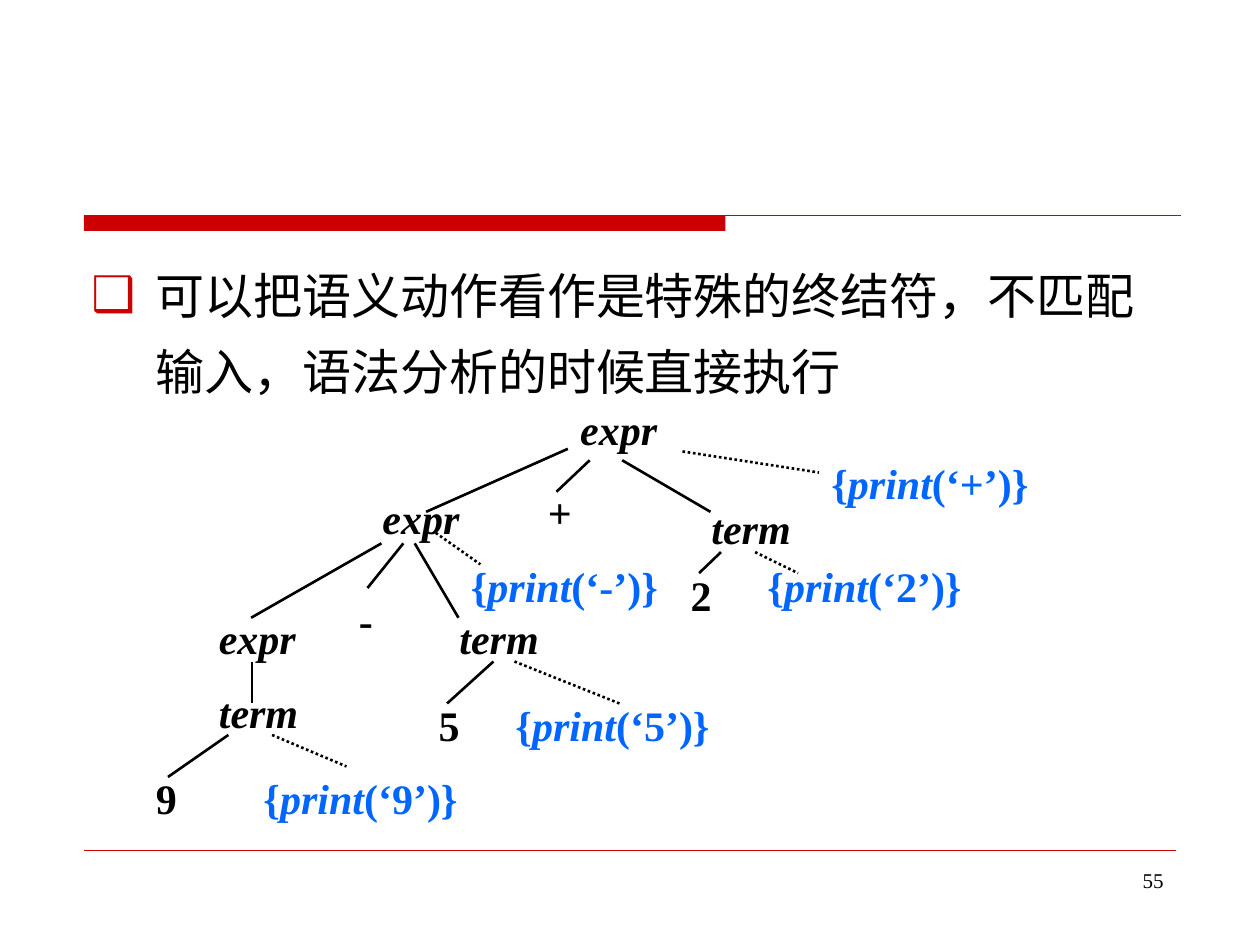
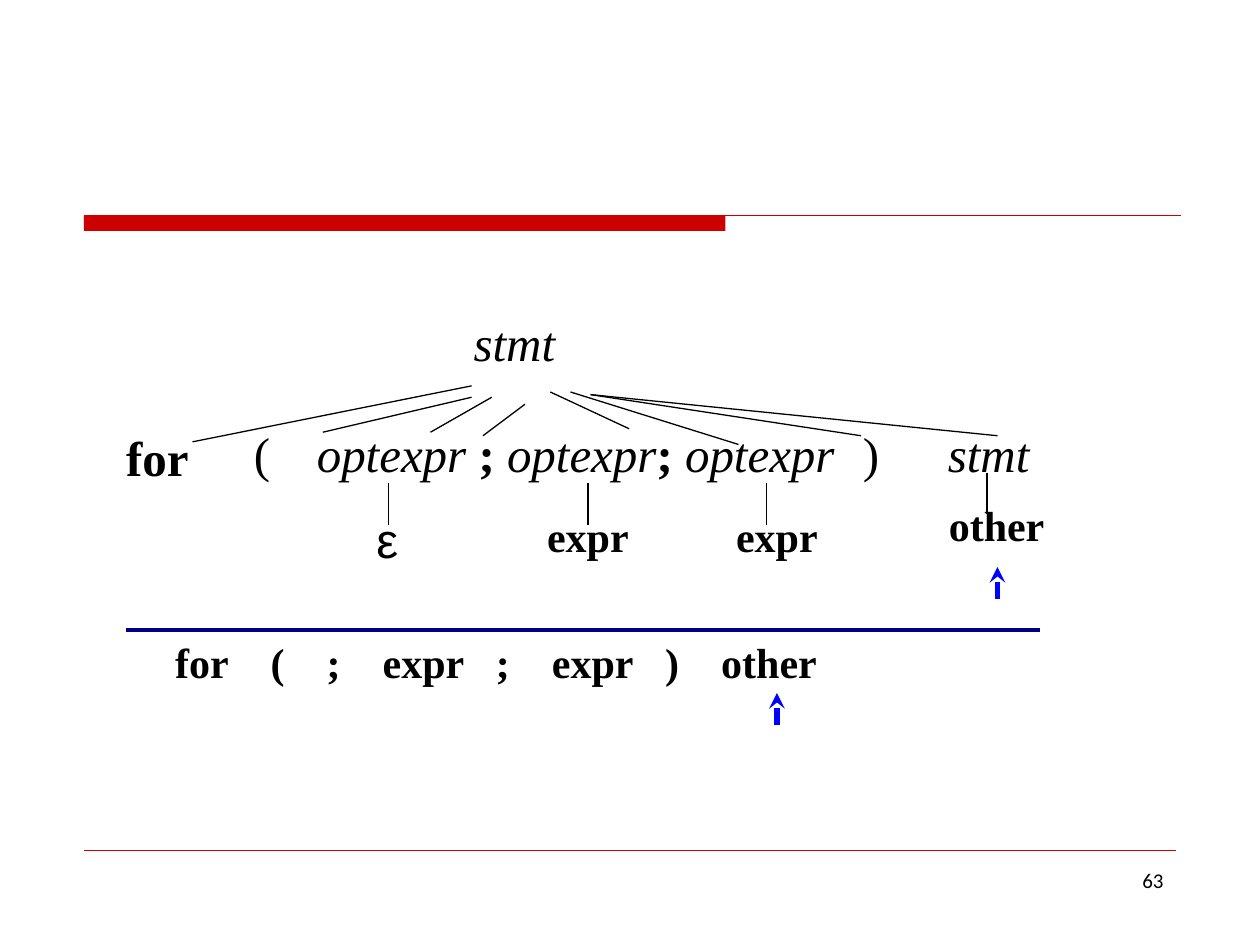
from lxml import etree
from pptx import Presentation
from pptx import util as u
from pptx.dml import color
from pptx.enum import dml, shapes, text
from pptx.oxml import ns

Pt = u.Pt
COLORS = {"red": "CC0000", "ink": "000000", "action": "0066FF",
          "pointer": "0000FF", "rule": "000080"}
SERIF = "Times New Roman"


def rgb(name):
    return color.RGBColor.from_string(COLORS[name])


def add_xml(parent, tag, **attrs):
    return etree.SubElement(parent, ns.qn(tag), attrs)


class Deck:
    """Holds the style and the current slide."""

    def __init__(self):
        self.prs = Presentation()
        self.prs.slide_width, self.prs.slide_height = Pt(720), Pt(540)
        self.s = None

    def slide(self, number, layout, number_font=SERIF):
        self.s = self.prs.slides.add_slide(self.prs.slide_layouts[layout])
        if self.s.shapes.title is not None:
            title = self.s.shapes.title.element
            title.getparent().remove(title)
        # Red band, thin rules and page number
        band = self.s.shapes.add_shape(shapes.MSO_SHAPE.RECTANGLE,
                                       Pt(48), Pt(123), Pt(366.5), Pt(9))
        band.shadow.inherit = False
        band.fill.solid()
        band.fill.fore_color.rgb = rgb("red")
        band.line.fill.background()
        self.line(48, 123, 675, 123, "red")
        self.line(48, 486, 672, 486, "red", 0.25)
        self.text(516, 492, 156, [(number, "")], 12, h=37,
                  font=number_font, align=text.PP_ALIGN.RIGHT)

    def line(self, x1, y1, x2, y2, ink="ink", width=0.75, dotted=False, arrow=False):
        c = self.s.shapes.add_connector(shapes.MSO_CONNECTOR.STRAIGHT,
                                        Pt(x1), Pt(y1), Pt(x2), Pt(y2))
        c.line.color.rgb = rgb(ink)
        c.line.width = Pt(width)
        if dotted:
            c.line.dash_style = dml.MSO_LINE.ROUND_DOT
        if arrow:
            add_xml(c.line._get_or_add_ln(), "a:tailEnd", type="stealth")
        add_xml(c.element.spPr, "a:effectLst")

    def text(self, x, y, w, runs, size, h=36, ink="ink", font=SERIF,
             align=text.PP_ALIGN.LEFT, wrap=True):
        """Each run is (words, style); the style may hold b and i."""
        sp = self.s.shapes.add_textbox(Pt(x), Pt(y), Pt(w), Pt(h))
        tf = sp.text_frame
        tf.word_wrap = wrap
        p = tf.paragraphs[0]
        p.alignment = align
        for words, style in runs:
            r = p.add_run()
            r.text = words
            r.font.name, r.font.size = font, Pt(size)
            r.font.bold, r.font.italic = "b" in style, "i" in style
            r.font.color.rgb = rgb(ink)
        return sp

    def label(self, x, y, w, words, size=24, h=36, style="b", font=SERIF):
        sp = self.text(x, y, w, [(words, style)], size, h, font=font,
                       align=text.PP_ALIGN.CENTER, wrap=False)
        sp.text_frame.vertical_anchor = text.MSO_ANCHOR.BOTTOM

    def action(self, x, y, symbol):
        self.text(x, y, 150, [("{", "b"), ("print", "bi"), (f"(‘{symbol}’)}}", "b")],
                  24, ink="action")

    def tabbed(self, x, y, w, words, stops):
        sp = self.text(x, y, w, [("\t".join(words), "b")], 24)
        tabs = add_xml(sp.text_frame.paragraphs[0]._p.get_or_add_pPr(), "a:tabLst")
        for stop in stops:
            add_xml(tabs, "a:tab", pos=str(int(Pt(stop))), algn="l")

    def bullet(self, words):
        sp = self.s.placeholders[1]
        sp.left, sp.top, sp.width, sp.height = Pt(45), Pt(138), Pt(630), Pt(336)
        tf = sp.text_frame
        tf.text = words
        tf.auto_size = text.MSO_AUTO_SIZE.NONE
        p = tf.paragraphs[0]
        p.line_spacing, p.space_before = 1.3, Pt(0)
        pPr = p._p.get_or_add_pPr()
        pPr.set("marL", str(int(Pt(36.75))))
        pPr.set("indent", str(int(Pt(-36.75))))
        add_xml(add_xml(pPr, "a:buClr"), "a:srgbClr", val=COLORS["red"])
        add_xml(pPr, "a:buChar", char="❑")
        r = p.runs[0]
        r.font.name, r.font.size = SERIF, Pt(28)
        r.font.color.rgb = rgb("ink")


def action_tree(deck):
    deck.slide("55", 1)
    deck.bullet("可以把语义动作看作是特殊的终结符，不匹配输入，语法分析的时候直接执行")

    # Nonterminals, terminals and semantic actions
    for name, x, y in [("expr", 324.5, 227), ("expr", 211.5, 278), ("expr", 118, 346.5),
                       ("term", 399.5, 283.5), ("term", 255.5, 346.5), ("term", 118, 389)]:
        deck.text(x, y, 81, [(name, "bi")], 24)
    for token, x, y in [("+", 306, 274.5), ("-", 198, 336), ("2", 387.5, 322),
                        ("5", 243.5, 396), ("9", 82, 438)]:
        deck.text(x, y, 37, [(token, "b")], 24)
    for symbol, x, y in [("+", 468, 258), ("-", 262, 317), ("2", 431.5, 317),
                         ("5", 287.5, 396), ("9", 143.5, 438)]:
        deck.action(x, y, symbol)

    # Solid branches to symbols, dotted branches to actions
    branches = [(324.5, 256.5, 243.5, 292.5), (337, 263, 318, 281),
                (355.5, 263, 406, 292.5), (218, 310.5, 143.5, 353),
                (230.5, 310.5, 210, 336), (237, 310.5, 262, 353),
                (412, 315.5, 399.5, 327.5), (282, 378, 255.5, 402),
                (144, 378, 144, 402), (130.5, 420, 96, 444)]
    action_branches = [(390, 258, 468, 270), (249, 304.5, 274.5, 322.5),
                       (431.5, 315.5, 456, 327.5), (294, 378, 354, 402),
                       (155.5, 420, 198, 438)]
    for ends in branches:
        deck.line(*ends, width=1.5)
    for ends in action_branches:
        deck.line(*ends, width=1.5, dotted=True)


def for_statement(deck):
    deck.slide("63", 6, "Calibri")

    # Root and its children
    loop = [("optexpr ", "i"), (";", "b"), (" optexpr", "i"), ("; ", "b"), ("optexpr", "i")]
    for x, y, w, runs in [(263.5, 175, 90, [("stmt", "i")]), (65, 241, 90, [("for", "b")]),
                          (138, 238.5, 45, [("(", "")]), (174, 238.5, 354, loop),
                          (486, 238.5, 90, [(")", "")]), (534.5, 238.5, 90, [("stmt", "i")])]:
        deck.text(x, y, w, runs, 28, h=41)
    for ends in [(269.5, 220.5, 110, 252.5), (269.5, 227, 184.5, 247),
                 (281, 227, 246, 247), (300, 231, 276, 249),
                 (314.5, 224, 359.5, 245), (326, 224, 422, 254),
                 (337.5, 225.5, 492, 249), (337.5, 225.5, 570, 249)]:
        deck.line(*ends)

    # Leaves
    for x, top in [(222, 276), (336, 276), (438, 276), (564, 270)]:
        deck.line(x, top, x, top + 24)
    deck.label(208, 287.5, 26.5, "ε", 28, 41, "", "Arial")
    deck.label(305.5, 288, 61, "expr")
    deck.label(413.5, 288, 61, "expr")
    deck.label(535, 281.5, 69, "other")

    # Input with the two lookahead pointers
    deck.line(72, 360, 594, 360, "rule", 2)
    deck.tabbed(93, 360, 381, ["for", "(", ";", "expr", ";", "expr", ")", "other"],
                [54.6, 86.6, 118.6, 183.3, 215.3, 280, 312])
    for x, y in [(570, 342), (444, 414)]:
        deck.line(x, y, x, y - 18, "pointer", 3, arrow=True)


def main():
    deck = Deck()
    action_tree(deck)
    for_statement(deck)
    deck.prs.save("out.pptx")


if __name__ == "__main__":
    main()
